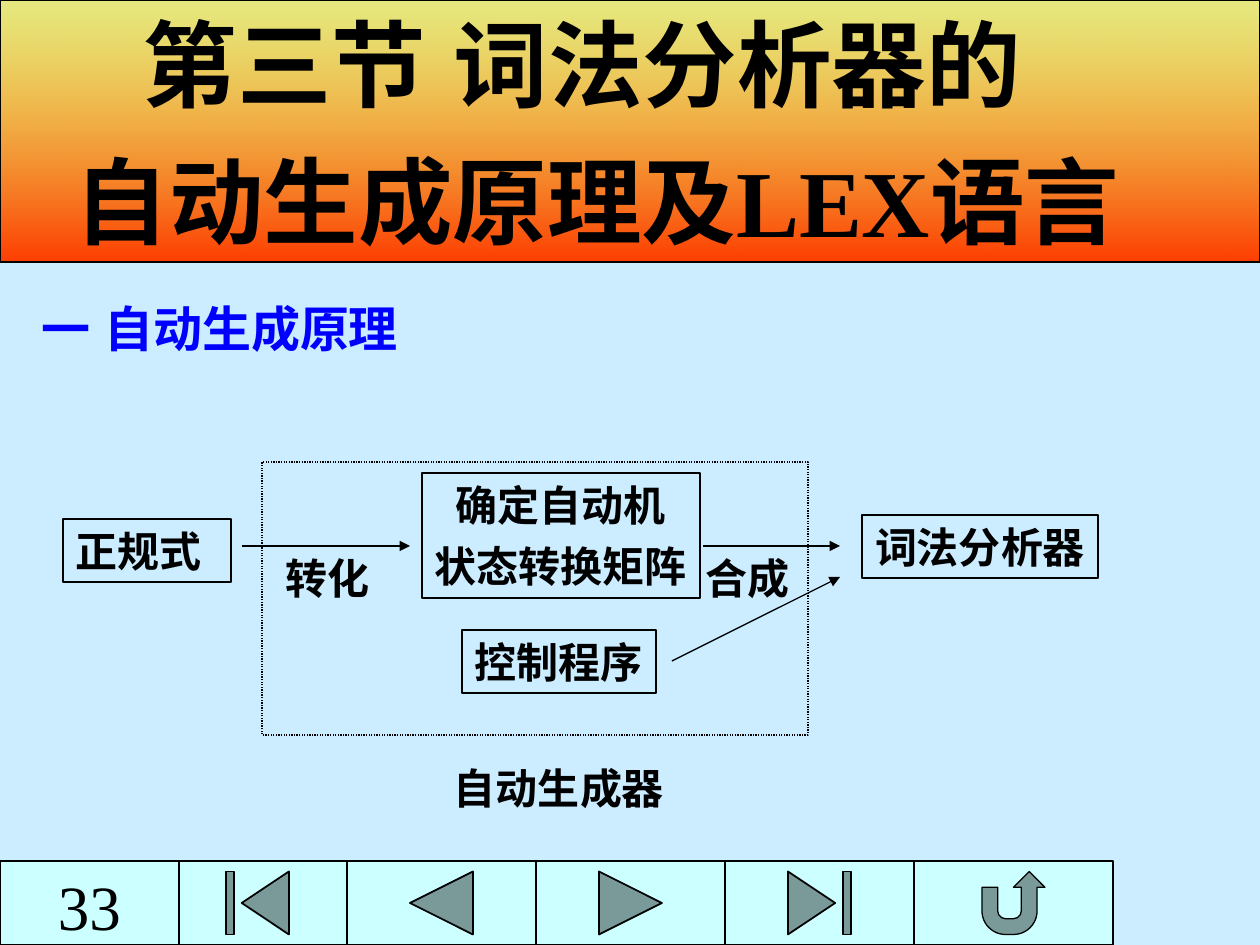
import pptx
import pptx.util
import pptx.dml.color
import pptx.enum.dml
import pptx.enum.shapes
import pptx.enum.text
import pptx.oxml.ns
from lxml import etree

SCALE = 914400 / 126
COLORS = {
    "page": "CCECFF",
    "ink": "000000",
    "heading": "0000FF",
    "button": "CCFFFF",
    "banner_top": "FFE701",
    "banner_bottom": "FE3E02",
}
FONT = "Times New Roman"
SHAPES = pptx.enum.shapes.MSO_SHAPE
ALIGN = pptx.enum.text.PP_ALIGN
ANCHOR = pptx.enum.text.MSO_ANCHOR


def emu(px):
    return round(px * SCALE)


def color(name):
    return pptx.dml.color.RGBColor.from_string(COLORS[name])


def add_child(parent, tag, **attributes):
    child = etree.SubElement(parent, pptx.oxml.ns.qn(tag))
    for key, value in attributes.items():
        child.set(key, str(value))
    return child


def write(box, text, size=24, bold=True, ink="ink", align=ALIGN.CENTER,
          anchor=ANCHOR.MIDDLE, wrap=False, before=6, indents=(), tab=None):
    frame = box.text_frame
    frame.word_wrap = wrap
    frame.vertical_anchor = anchor
    for index, line in enumerate(text.split("\n")):
        para = frame.paragraphs[0] if index == 0 else frame.add_paragraph()
        para.alignment = align
        para.space_before = pptx.util.Pt(before if index else 0)
        properties = para._p.get_or_add_pPr()
        if indents:
            properties.set("marL", "0")
            properties.set("indent", str(emu(indents[index])))
        if tab and "\t" in line:
            stops = add_child(properties, "a:tabLst")
            add_child(stops, "a:tab", pos=emu(tab), algn="l")
        span = para.add_run()
        span.text = line
        span.font.name = FONT
        span.font.size = pptx.util.Pt(size)
        span.font.bold = bold
        span.font.color.rgb = color(ink)


class SlideBuilder:
    def __init__(self, deck):
        self.page = deck.slides.add_slide(deck.slide_layouts[5])
        self.page.background.fill.solid()
        self.page.background.fill.fore_color.rgb = color("page")

    def outline(self, item, width=0.75):
        item.line.color.rgb = color("ink")
        item.line.width = pptx.util.Pt(width)

    def banner(self, text, height, **style):
        title = self.page.shapes.title
        title.left, title.top = 0, 0
        title.width, title.height = emu(1260), emu(height)
        title.fill.gradient()
        title.fill.gradient_angle = 270
        for stop, name in zip(title.fill.gradient_stops, ("banner_top", "banner_bottom")):
            stop.color.rgb = color(name)
        top_color = next(title._element.iter(pptx.oxml.ns.qn("a:srgbClr")))
        add_child(top_color, "a:alpha", val=50000)
        self.outline(title)
        write(title, text, **style)

    def shape(self, kind, area, fill=None, width=0.75):
        shape = self.page.shapes.add_shape(kind, *map(emu, area))
        shape.shadow.inherit = False
        if fill:
            shape.fill.solid()
            shape.fill.fore_color.rgb = color(fill)
        else:
            shape.fill.background()
        self.outline(shape, width)
        return shape

    def box(self, text, area, fill=None, width=0.75, **style):
        write(self.shape(SHAPES.RECTANGLE, area, fill, width), text, **style)

    def frame(self, area):
        frame = self.shape(SHAPES.RECTANGLE, area)
        frame.line.dash_style = pptx.enum.dml.MSO_LINE.ROUND_DOT

    def label(self, text, area, **style):
        label = self.page.shapes.add_textbox(*map(emu, area))
        write(label, text, anchor=ANCHOR.TOP, **style)

    def arrow(self, start, end):
        arrow = self.page.shapes.add_connector(
            pptx.enum.shapes.MSO_CONNECTOR.STRAIGHT, *map(emu, start + end))
        self.outline(arrow)
        add_child(arrow.line._get_or_add_ln(), "a:tailEnd", type="triangle")
        add_child(arrow._element.spPr, "a:effectLst")


def main():
    deck = pptx.Presentation()
    deck.slide_width, deck.slide_height = emu(1260), emu(945)
    slide = SlideBuilder(deck)

    buttons = [
        (SHAPES.ACTION_BUTTON_BEGINNING, 168, 1),
        (SHAPES.ACTION_BUTTON_BACK_OR_PREVIOUS, 347, 1),
        (SHAPES.ACTION_BUTTON_FORWARD_OR_NEXT, 536, 1),
        (SHAPES.ACTION_BUTTON_END, 725, 1),
        (SHAPES.ACTION_BUTTON_RETURN, 914, 0.75),
    ]
    edges = [left for _, left, _ in buttons[1:]] + [1113]
    for (kind, left, width), right in zip(buttons, edges):
        slide.shape(kind, (left, 861, right - left, 84), "button", width)

    slide.banner("第三节\t词法分析器的\n自动生成原理及LEX语言", 262, size=54,
                 align=ALIGN.LEFT, wrap=True, before=13.5, indents=(130, 62), tab=461)
    slide.label("一\t自动生成原理", (29, 292, 417, 72), size=28, ink="heading",
                align=ALIGN.LEFT, indents=(0,), tab=73)

    slide.box("正规式", (63, 519, 168, 63), align=ALIGN.LEFT, wrap=True)
    slide.box("确定自动机\n状态转换矩阵", (422, 473, 278, 125))
    slide.box("词法分析器", (862, 515, 236, 63))
    slide.box("控制程序", (462, 630, 194, 63))
    for start, end in [((242, 546), (410, 546)),
                       ((703, 546), (840, 546)),
                       ((672, 661), (840, 577))]:
        slide.arrow(start, end)
    slide.frame((262, 462, 546, 273))
    slide.label("自动生成器", (441, 756, 236, 63))
    slide.label("转化", (273, 546, 110, 63))
    slide.label("合成", (693, 546, 110, 63))

    slide.box("33", (0, 861, 179, 84), "button", 1, size=36, bold=False,
              anchor=ANCHOR.TOP, wrap=True)
    deck.save("out.pptx")


if __name__ == "__main__":
    main()
